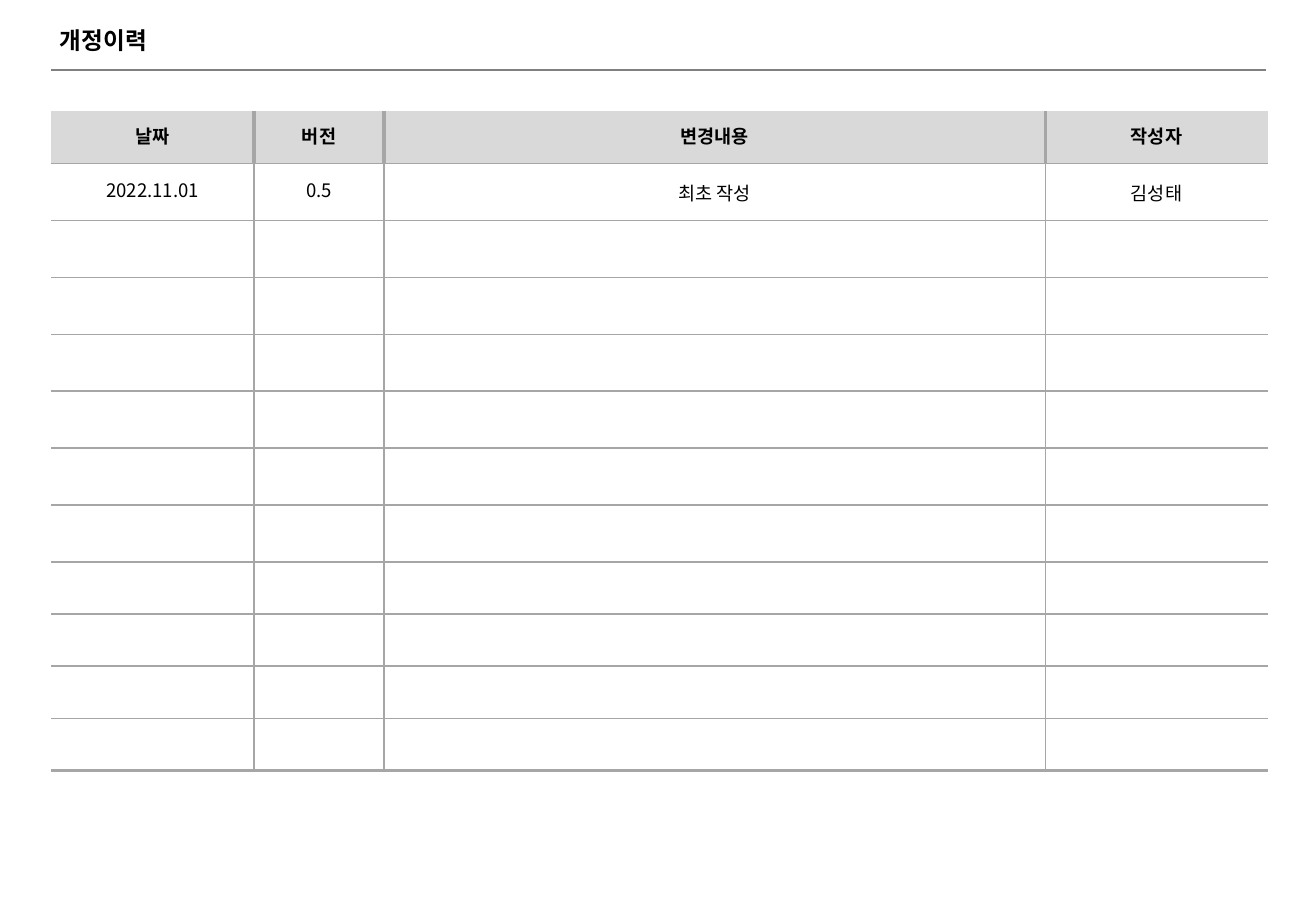
import pptx
import pptx.util
import pptx.dml.color
import pptx.enum.shapes
import pptx.enum.text
import pptx.oxml.ns
import lxml.etree

Cm, Pt = pptx.util.Cm, pptx.util.Pt
FONT = "Noto Sans CJK KR"
HUES = {"text": "000000", "rule": "808080", "grid": "A6A6A6", "head": "D9D9D9"}
COLS = [4.24, 2.72, 13.82, 4.65]
ROWS = [1.09] + [1.19] * 7 + [1.09] * 4
HEADS = ["날짜", "버전", "변경내용", "작성자"]
FIRST = ["2022.11.01", "0.5", "최초 작성", "김성태"]


def hue(name):
    """Return a named colour."""
    return pptx.dml.color.RGBColor.from_string(HUES[name])


def add(node, tag, **attrs):
    """Append a drawing element to a node."""
    return lxml.etree.SubElement(node, pptx.oxml.ns.qn(tag), attrs)


def style(para, size, bold):
    """Format the runs of a paragraph."""
    for run in para.runs:
        font = run.font
        font.size, font.bold, font.name = Pt(size), bold, FONT
        font.color.rgb = hue("text")
        add(font._element, "a:ea", typeface=FONT)


def edge(cell, side, width):
    """Draw one cell border, or hide it when the width is zero."""
    line = add(cell._tc.get_or_add_tcPr(), f"a:ln{side}", w=str(int(Pt(width))))
    if width:
        add(add(line, "a:solidFill"), "a:srgbClr", val=HUES["grid"])
    else:
        add(line, "a:noFill")


def header(slide, left, top, width):
    """Place the title and the rule below it."""
    title = slide.shapes.title
    title.left, title.top = left - Cm(0.07), top
    title.width, title.height = Cm(17.75), Cm(0.91)
    frame = title.text_frame
    frame.text = "개정이력"
    frame.auto_size = pptx.enum.text.MSO_AUTO_SIZE.NONE
    frame.vertical_anchor = pptx.enum.text.MSO_ANCHOR.TOP
    frame.margin_left, frame.margin_top, frame.margin_bottom = Cm(0.25), Cm(0.03), 0
    para = frame.paragraphs[0]
    para.alignment = pptx.enum.text.PP_ALIGN.LEFT
    style(para, 14, True)
    level = top + Cm(0.96)
    rule = slide.shapes.add_connector(
        pptx.enum.shapes.MSO_CONNECTOR.STRAIGHT, left, level, left + width, level)
    rule.line.color.rgb = hue("rule")
    rule.line.width = Pt(1)
    add(rule._element.spPr, "a:effectLst")


def fill(cell, row, col):
    """Write and format one cell of the history table."""
    head, last = row == 0, row == len(ROWS) - 1
    side = 2.25 if head else 1
    edge(cell, "L", side if col else 0)
    edge(cell, "R", side if col < len(COLS) - 1 else 0)
    edge(cell, "T", 0 if head else 1)
    edge(cell, "B", 2.25 if last else 1)
    if head:
        cell.fill.solid()
        cell.fill.fore_color.rgb = hue("head")
    else:
        cell.fill.background()
    loose = row == 1 and col > 1
    cell.vertical_anchor = pptx.enum.text.MSO_ANCHOR.MIDDLE
    cell.margin_left = cell.margin_right = Cm(0.03 if loose else 0.18)
    cell.margin_top, cell.margin_bottom = Cm(0.03 if loose else 0), 0
    if row < 2:
        cell.text = (HEADS, FIRST)[row][col]
        para = cell.text_frame.paragraphs[0]
        para.alignment = pptx.enum.text.PP_ALIGN.CENTER
        if not loose:
            para.line_spacing = Pt(13)
        style(para, 11, head)


def history(slide, left, top):
    """Place the revision history table."""
    table = slide.shapes.add_table(
        len(ROWS), len(COLS), left, top, Cm(sum(COLS)), Cm(sum(ROWS))).table
    table.horz_banding = False
    for col, width in enumerate(COLS):
        table.columns[col].width = Cm(width)
    for row, height in enumerate(ROWS):
        table.rows[row].height = Cm(height)
        for col in range(len(COLS)):
            fill(table.cell(row, col), row, col)


def main():
    """Build the revision history slide."""
    deck = pptx.Presentation()
    deck.slide_width, deck.slide_height = Cm(27.51), Cm(19.05)
    slide = deck.slides.add_slide(deck.slide_layouts[5])
    left = Cm(1.07)
    header(slide, left, Cm(0.51), Cm(25.4))
    history(slide, left, Cm(2.33))
    deck.save("out.pptx")


if __name__ == "__main__":
    main()
